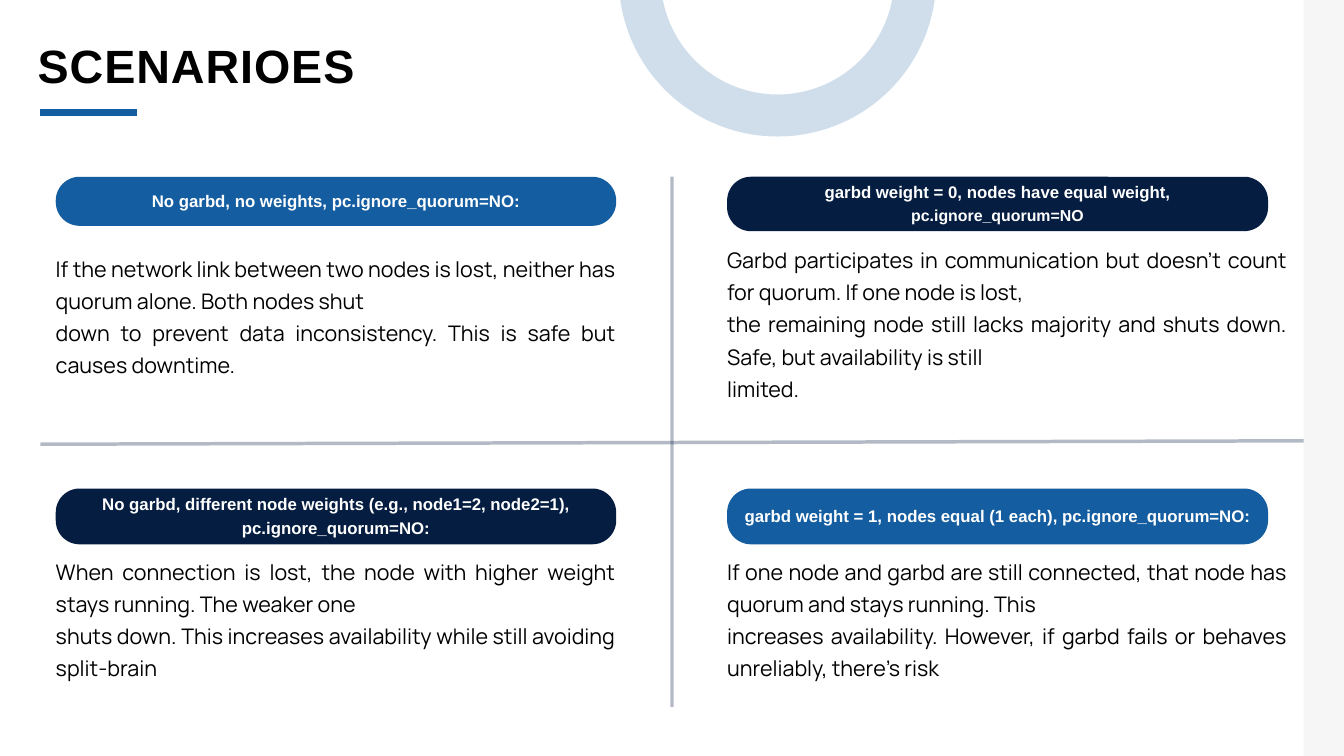
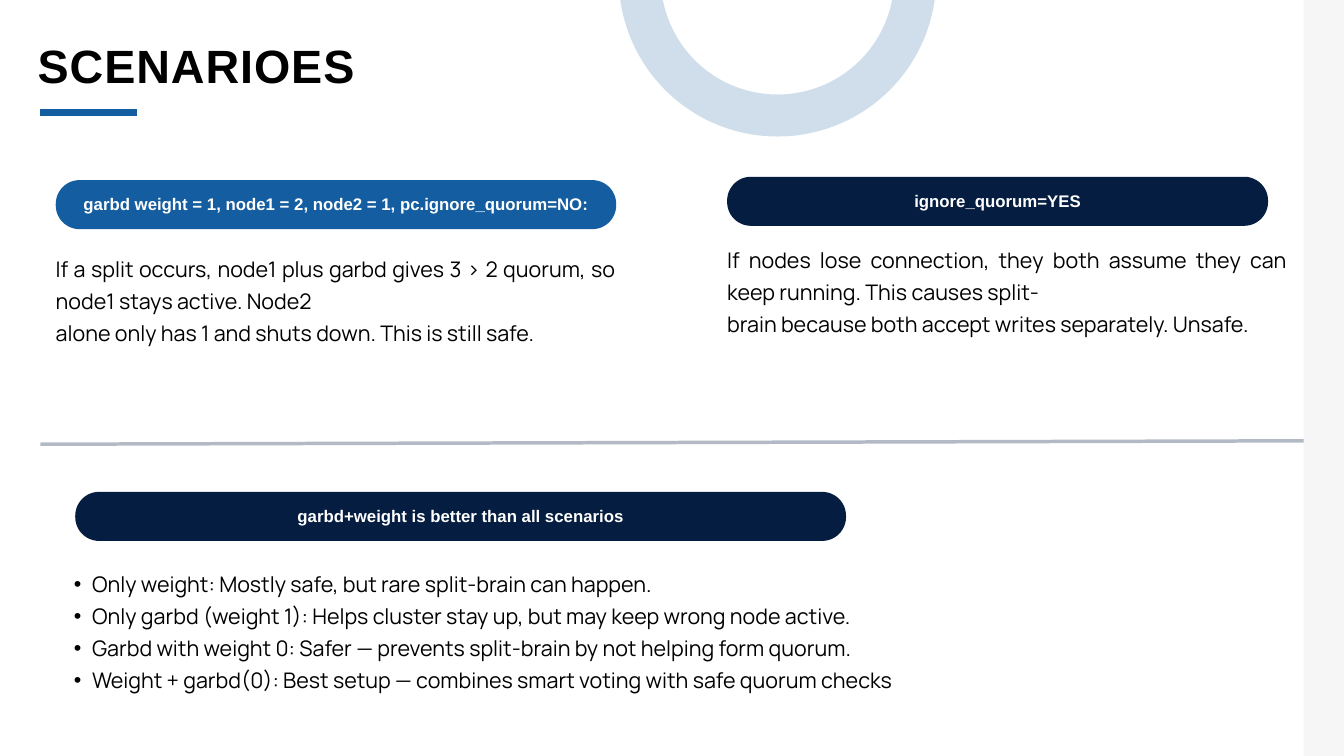
from dataclasses import dataclass

from lxml import etree
from pptx import Presentation
from pptx.dml.color import RGBColor
from pptx.enum.shapes import MSO_CONNECTOR, MSO_SHAPE
from pptx.enum.text import MSO_ANCHOR, PP_ALIGN
from pptx.oxml.ns import qn
from pptx.util import Inches, Pt

STRAIGHT = MSO_CONNECTOR.STRAIGHT
RECTANGLE, PILL, CIRCLE = MSO_SHAPE.RECTANGLE, MSO_SHAPE.ROUNDED_RECTANGLE, MSO_SHAPE.OVAL
MIDDLE, TOP = MSO_ANCHOR.MIDDLE, MSO_ANCHOR.TOP
LEFT, CENTER, JUSTIFY = PP_ALIGN.LEFT, PP_ALIGN.CENTER, PP_ALIGN.JUSTIFY

BLUE = RGBColor(0x14, 0x5D, 0xA0)
NAVY = RGBColor(0x05, 0x1D, 0x40)
PALE = RGBColor(0xF6, 0xF6, 0xF6)
BLACK = RGBColor(0, 0, 0)
WHITE = RGBColor(0xFF, 0xFF, 0xFF)
HEADING_FONT, BODY_FONT = "Arial", "Manrope"

SLIDE_WIDTH, SLIDE_HEIGHT = Inches(20), Inches(11.25)

# All positions are percentages of the slide's width and height.
MARGIN, BAND_LEFT = 3, 97
COLUMNS, ROWS = (4.15, 54.1), (23.38, 64.62)
COLUMN_WIDTH = 41.7
LINE_HEIGHT = 4.23
PILL_LOW, PILL_MID, PILL_TALL = 6.49, 7.2, 7.38
PILL_RADIUS = 3.15


@dataclass
class Box:
    left: float
    top: float
    width: float
    height: float

    def emu(self):
        return (across(self.left), down(self.top), across(self.width), down(self.height))


@dataclass
class Scenario:
    """A heading pill with body text that starts body_offset below the pill's top."""
    heading: list
    body: list
    fill: RGBColor
    box: Box
    pill_width: float
    pill_height: float
    body_offset: float
    bulleted: bool = False


def across(percent):
    return int(SLIDE_WIDTH * percent / 100)


def down(percent):
    return int(SLIDE_HEIGHT * percent / 100)


def set_alpha(color_parent, percent):
    color = next(color_parent.iter(qn("a:srgbClr")))
    etree.SubElement(color, qn("a:alpha")).set("val", str(percent * 1000))


def add_filled(slide, preset, box, fill):
    shape = slide.shapes.add_shape(preset, *box.emu())
    shape.shadow.inherit = False
    shape.fill.solid()
    shape.fill.fore_color.rgb = fill
    shape.line.fill.background()
    return shape


def add_rule(slide, start, end, color, weight, alpha=100):
    rule = slide.shapes.add_connector(
        STRAIGHT, across(start[0]), down(start[1]), across(end[0]), down(end[1]))
    rule.line.color.rgb = color
    rule.line.width = Pt(weight)
    properties = rule._element.spPr
    if alpha < 100:
        set_alpha(properties, alpha)
    etree.SubElement(properties, qn("a:effectLst"))


def add_bullet(paragraph):
    paragraph.level = 1
    properties = paragraph._p.get_or_add_pPr()
    properties.set("marL", str(Inches(0.54)))
    properties.set("indent", str(-Inches(0.27)))
    etree.SubElement(properties, qn("a:buFont")).set("typeface", "Arial")
    etree.SubElement(properties, qn("a:buChar")).set("char", "•")


def write(shape, lines, font, size, color, align, leading, bold=False, anchor=TOP, bulleted=False):
    frame = shape.text_frame
    frame.word_wrap = True
    frame.vertical_anchor = anchor
    frame.margin_left = frame.margin_right = frame.margin_top = frame.margin_bottom = 0
    frame.text = "\n".join(lines)
    for paragraph in frame.paragraphs:
        paragraph.alignment = align
        paragraph.line_spacing = Pt(leading)
        if bulleted:
            add_bullet(paragraph)
        for run in paragraph.runs:
            run.font.name = font
            run.font.size = Pt(size)
            run.font.bold = bold
            run.font.color.rgb = color


def add_pill(slide, box, heading, fill):
    pill = add_filled(slide, PILL, box, fill)
    pill.adjustments[0] = min(0.5, PILL_RADIUS / box.height)
    write(pill, heading, HEADING_FONT, 18, WHITE, CENTER, 25.2, bold=True, anchor=MIDDLE)
    pill.text_frame.margin_bottom = Inches(0.07)
    for paragraph in pill.text_frame.paragraphs[1:]:
        paragraph.line_spacing = Pt(23.8)
        paragraph.runs[0].font.size = Pt(17)


def add_scenario(slide, scenario):
    box = scenario.box
    add_pill(slide, Box(box.left, box.top, scenario.pill_width, scenario.pill_height),
             scenario.heading, scenario.fill)
    # Bullets hang from the left column, whatever the pill's indent.
    body_left = COLUMNS[0] if scenario.bulleted else box.left
    body = slide.shapes.add_textbox(
        *Box(body_left, box.top + scenario.body_offset, box.width, box.height).emu())
    write(body, scenario.body, BODY_FONT, 23, BLACK, JUSTIFY, 34.5, bulleted=scenario.bulleted)


def add_title(slide, box):
    title = slide.shapes.add_textbox(*box.emu())
    write(title, ["SCENARIOES"], HEADING_FONT, 50, BLACK, LEFT, 70, bold=True)
    title.text_frame.paragraphs[0].runs[0].font._element.set("spc", "100")


def add_ring(slide, box):
    ring = slide.shapes.add_shape(CIRCLE, *box.emu())
    ring.shadow.inherit = False
    ring.fill.background()
    ring.line.color.rgb = BLUE
    ring.line.width = Pt(45)
    set_alpha(ring._element.spPr, 20)


def add_scenario_slide(deck, scenarios, split_columns):
    slide = deck.slides.add_slide(deck.slide_layouts[6])
    add_filled(slide, RECTANGLE, Box(BAND_LEFT, 0, 100 - BAND_LEFT, 100), PALE)
    add_rule(slide, (MARGIN, 58.76), (BAND_LEFT, 58.31), NAVY, 3.75, alpha=30)
    if split_columns:
        add_rule(slide, (50, ROWS[0]), (50, 93.51), NAVY, 3.75, alpha=30)
    add_rule(slide, (MARGIN, 14.84), (10.2, 14.84), BLUE, 7.5)
    for scenario in scenarios:
        add_scenario(slide, scenario)
    add_title(slide, Box(2.8, 3.64, 58.9, 8.27))
    add_ring(slide, Box(47.6, -21.16, 20.5, 36.44))


def cell(column, row, lines, shift=0):
    return Box(COLUMNS[column], ROWS[row] + shift, COLUMN_WIDTH, lines * LINE_HEIGHT)


QUORUM_SCENARIOS = [
    Scenario(["No garbd, no weights, pc.ignore_quorum=NO:"],
             ["If the network link between two nodes is lost, neither has quorum alone. "
              "Both nodes shut",
              "down to prevent data inconsistency. This is safe but causes downtime."],
             BLUE, cell(0, 0, 4), 41.7, PILL_LOW, 9.6),
    Scenario(["No garbd, different node weights (e.g., node1=2, node2=1), pc.ignore_quorum=NO:"],
             ["When connection is lost, the node with higher weight stays running. "
              "The weaker one",
              "shuts down. This increases availability while still avoiding split-brain"],
             NAVY, cell(0, 1, 4), 41.7, PILL_TALL, 8.44),
    Scenario(["garbd weight = 0, nodes have equal weight,", "pc.ignore_quorum=NO"],
             ["Garbd participates in communication but doesn't count for quorum. "
              "If one node is lost,",
              "the remaining node still lacks majority and shuts down. "
              "Safe, but availability is still",
              "limited."],
             NAVY, cell(1, 0, 5), 40.25, PILL_MID, 8.44),
    Scenario(["garbd weight = 1, nodes equal (1 each), pc.ignore_quorum=NO:"],
             ["If one node and garbd are still connected, that node has quorum and stays "
              "running. This",
              "increases availability. However, if garbd fails or behaves unreliably, "
              "there's risk"],
             BLUE, cell(1, 1, 4), 40.25, PILL_TALL, 8.44),
]

WEIGHT_SCENARIOS = [
    Scenario(["garbd weight = 1, node1 = 2, node2 = 1, pc.ignore_quorum=NO:"],
             ["If a split occurs, node1 plus garbd gives 3 > 2 quorum, so node1 stays active. "
              "Node2",
              "alone only has 1 and shuts down. This is still safe."],
             BLUE, cell(0, 0, 3, shift=0.44), 41.7, PILL_LOW, 9.16),
    Scenario(["garbd+weight is better than all scenarios"],
             ["Only weight: Mostly safe, but rare split-brain can happen.",
              "Only garbd (weight 1): Helps cluster stay up, but may keep wrong node active.",
              "Garbd with weight 0: Safer — prevents split-brain by not helping form quorum.",
              "Weight + garbd(0): Best setup — combines smart voting with safe quorum checks"],
             NAVY, Box(5.6, ROWS[1] + 0.44, 91.65, 5 * LINE_HEIGHT), 57.35, PILL_LOW, 9.6,
             bulleted=True),
    Scenario(["ignore_quorum=YES"],
             ["If nodes lose connection, they both assume they can keep running. "
              "This causes split-",
              "brain because both accept writes separately. Unsafe."],
             NAVY, cell(1, 0, 4), 40.25, PILL_LOW, 8.44),
]


def main():
    deck = Presentation()
    deck.slide_width, deck.slide_height = SLIDE_WIDTH, SLIDE_HEIGHT
    add_scenario_slide(deck, QUORUM_SCENARIOS, split_columns=True)
    add_scenario_slide(deck, WEIGHT_SCENARIOS, split_columns=False)
    deck.save("out.pptx")


if __name__ == "__main__":
    main()
